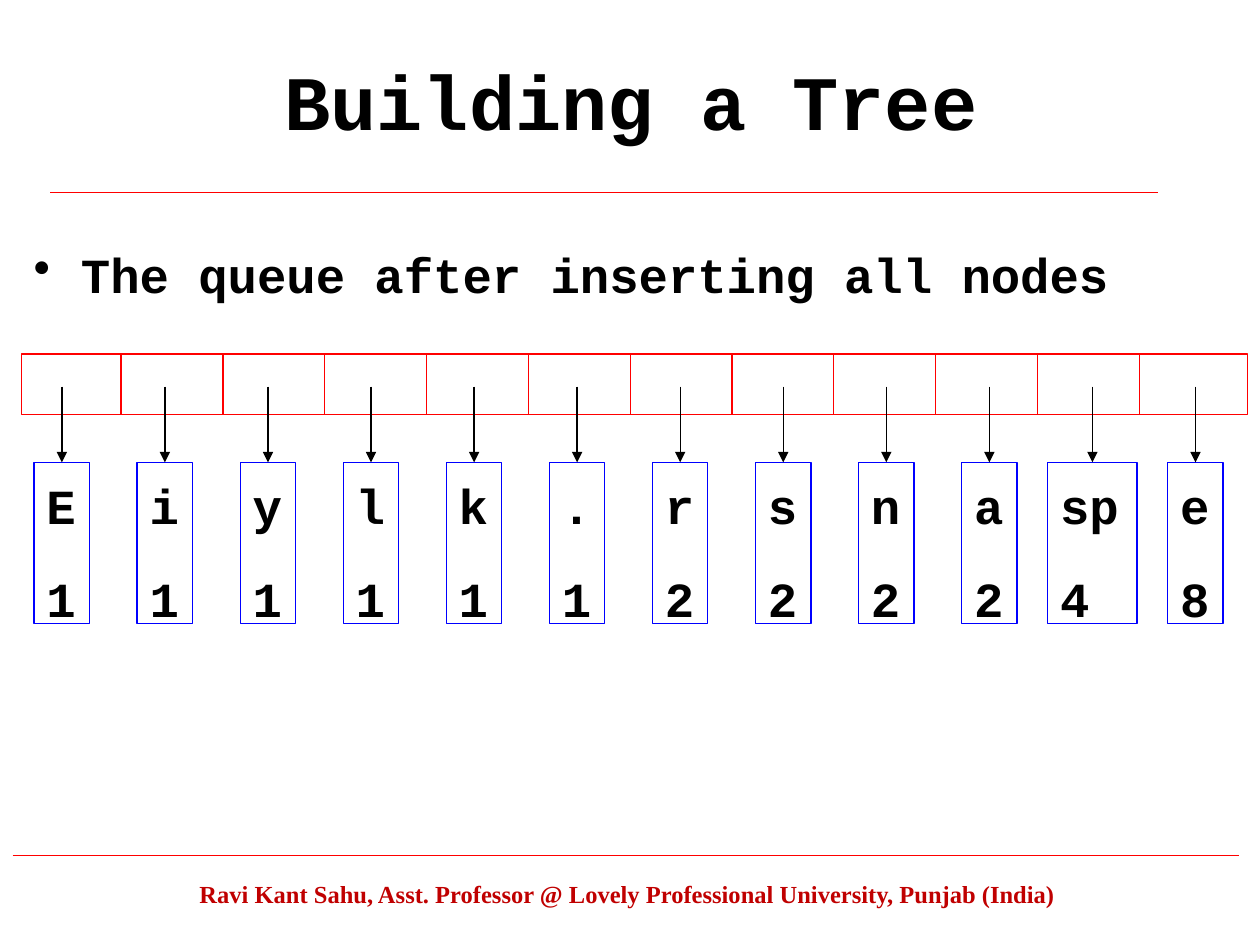
from lxml import etree
from pptx import Presentation
from pptx.dml.color import RGBColor
from pptx.enum.shapes import MSO_CONNECTOR, MSO_SHAPE
from pptx.enum.text import MSO_ANCHOR, PP_ALIGN
from pptx.oxml.ns import qn
from pptx.util import Pt

STRAIGHT = MSO_CONNECTOR.STRAIGHT
RECTANGLE = MSO_SHAPE.RECTANGLE
TOP, MIDDLE = MSO_ANCHOR.TOP, MSO_ANCHOR.MIDDLE
LEFT, CENTER = PP_ALIGN.LEFT, PP_ALIGN.CENTER

BLACK = RGBColor(0x00, 0x00, 0x00)
WHITE = RGBColor(0xFF, 0xFF, 0xFF)
RED = RGBColor(0xFF, 0x00, 0x00)
BLUE = RGBColor(0x00, 0x00, 0xFF)
DARK_RED = RGBColor(0xC0, 0x00, 0x00)

CODE_FONT = "Courier New"
FOOTER_FONT = "Times New Roman"
NODES = [("E", 1), ("i", 1), ("y", 1), ("l", 1), ("k", 1), (".", 1),
         ("r", 2), ("s", 2), ("n", 2), ("a", 2), ("sp", 4), ("e", 8)]


def write_text(shape, text, size=28, font=CODE_FONT, color=BLACK, align=LEFT,
               anchor=TOP, wrap=True, top_inset=3.6, bottom_inset=3.6,
               space_before=0, bullet=None, indent=0):
    """Fill a shape with bold paragraphs, one for each line of the text."""
    frame = shape.text_frame
    frame.word_wrap = wrap
    frame.vertical_anchor = anchor
    frame.margin_top, frame.margin_bottom = Pt(top_inset), Pt(bottom_inset)
    frame.text = text
    for index, paragraph in enumerate(frame.paragraphs):
        paragraph.alignment = align
        if index:
            paragraph.space_before = Pt(space_before)
        if bullet:
            properties = paragraph._p.get_or_add_pPr()
            properties.set("marL", str(Pt(indent)))
            properties.set("indent", str(-Pt(indent)))
            etree.SubElement(properties, qn("a:buChar")).set("char", bullet)
        for run in paragraph.runs:
            run.font.name = font
            run.font.size = Pt(size)
            run.font.bold = True
            run.font.color.rgb = color


def add_text(slide, box, text, **text_format):
    """Add a text box with formatted text."""
    shape = slide.shapes.add_textbox(*map(Pt, box))
    write_text(shape, text, **text_format)


def add_rectangle(slide, box, line_color, fill_color=None):
    """Add an outlined rectangle, filled only when a colour is given."""
    shape = slide.shapes.add_shape(RECTANGLE, *map(Pt, box))
    shape.shadow.inherit = False
    if fill_color is None:
        shape.fill.background()
    else:
        shape.fill.solid()
        shape.fill.fore_color.rgb = fill_color
    shape.line.color.rgb = line_color
    shape.line.width = Pt(0.75)
    return shape


def add_line(slide, start, end, color, arrow=False):
    """Add a thin straight line, with an arrowhead at its end on request."""
    line = slide.shapes.add_connector(STRAIGHT, *map(Pt, (*start, *end)))
    line.line.color.rgb = color
    line.line.width = Pt(0.75)
    if arrow:
        outline = line.line._get_or_add_ln()
        etree.SubElement(outline, qn("a:tailEnd")).set("type", "triangle")
    etree.SubElement(line._element.spPr, qn("a:effectLst"))
    return line


def add_header(slide, box):
    """Add the title with the red rule below it."""
    left, top, width, height = box
    rule_top = top + height + 7.8
    add_line(slide, (28.8, rule_top), (661.6, rule_top), RED)
    add_text(slide, (left, top, width, height), "Building a Tree",
             size=44, align=CENTER, anchor=MIDDLE)


def add_body(slide, box):
    """Add the bullet that introduces the queue."""
    add_text(slide, box, "The queue after inserting all nodes",
             top_inset=10.6, bullet="•", indent=27)


def add_queue(slide, box):
    """Add the strip of queue cells."""
    left, top, width, height = box
    add_rectangle(slide, box, RED, WHITE)
    for index in range(len(NODES) - 1):
        x = left + 57 + 58.18 * index
        add_line(slide, (x, top), (x, top + height), RED)


def add_nodes(slide, box):
    """Add the node boxes, each with an arrow from its queue cell."""
    left, top, width, height = box
    node_width = 31.7
    pitch = (width - node_width) / (len(NODES) - 1)
    arrow_length = 43.2
    for index, (symbol, count) in enumerate(NODES):
        center = left + node_width / 2 + pitch * index
        own_width = node_width if len(symbol) == 1 else 51.1
        node = add_rectangle(
            slide, (center - own_width / 2, top, own_width, height), BLUE)
        write_text(node, f"{symbol}\n{count}", wrap=False, top_inset=7.5,
                   bottom_inset=0, space_before=19.5)
        arrow = add_line(slide, (center, top - arrow_length), (center, top),
                         BLACK, arrow=True)
        arrow.end_connect(node, 0)


def add_footer(slide, box):
    """Add the author line with the red rule above it."""
    left, top, width, height = box
    add_line(slide, (7.2, top - 10), (707.8, top - 10), RED)
    add_text(slide, box,
             "Ravi Kant Sahu, Asst. Professor @ Lovely Professional "
             "University, Punjab (India)",
             size=14, font=FOOTER_FONT, color=DARK_RED, align=CENTER)


def main():
    """Build the slide and save it."""
    presentation = Presentation()
    presentation.slide_width, presentation.slide_height = Pt(720), Pt(540)
    slide = presentation.slides.add_slide(presentation.slide_layouts[6])
    add_header(slide, (54.7, 12.2, 612, 90))
    add_body(slide, (12.2, 128.9, 707.8, 324))
    add_queue(slide, (12.2, 202.3, 700.6, 34.6))
    add_nodes(slide, (19.5, 264.2, 679.5, 92.2))
    add_footer(slide, (59.8, 499, 597.6, 28.8))
    presentation.save("out.pptx")


if __name__ == "__main__":
    main()
